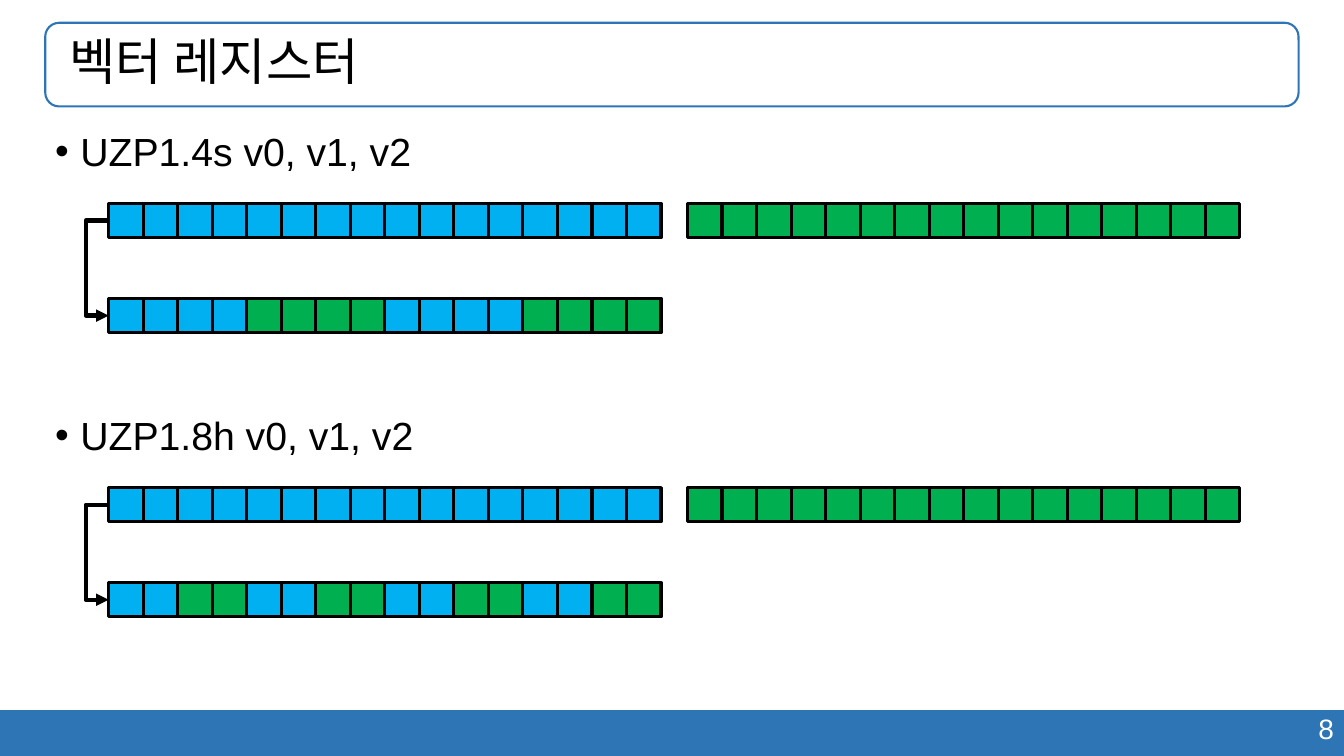
from lxml import etree
from pptx import Presentation
from pptx import util as u
from pptx.dml.color import RGBColor
from pptx.enum import shapes, text
from pptx.oxml.ns import qn

BLACK = RGBColor(0x00, 0x00, 0x00)
WHITE = RGBColor(0xFF, 0xFF, 0xFF)
NAVY = RGBColor(0x2E, 0x75, 0xB6)
BLUE = RGBColor(0x00, 0xB0, 0xF0)
GREEN = RGBColor(0x00, 0xB0, 0x50)

LANES = 16
FIRST_SOURCE = 3.15
SECOND_SOURCE = 19.92
FRAME = (1.31, 0.24, 36.31, 0.88)


class RegisterSlide:
    font = "Arial"
    column = u.Pt(24.65)
    row = u.Pt(67.9)
    cell_height = 0.36

    def __init__(self, presentation):
        self.slide = presentation.slides.add_slide(presentation.slide_layouts[6])

    def place(self, left, top, width, height):
        return [round(length * unit) for length, unit in
                zip((left, top, width, height), (self.column, self.row) * 2)]

    def box(self, kind, area, fill=None, line=None, weight=1.5, parent=None):
        parent = parent or self.slide
        shape = parent.shapes.add_shape(kind, *self.place(*area))
        shape.shadow.inherit = False
        if fill is None:
            shape.fill.background()
        else:
            shape.fill.solid()
            shape.fill.fore_color.rgb = fill
        if line is None:
            shape.line.fill.background()
        else:
            shape.line.color.rgb = line
            shape.line.width = u.Pt(weight)
        return shape

    def label(self, words, area, size, color=BLACK, align=text.PP_ALIGN.LEFT,
              anchor=text.MSO_ANCHOR.TOP, spacing=0.9, inset=0.1, bullet=False):
        shape = self.slide.shapes.add_textbox(*self.place(*area))
        frame = shape.text_frame
        frame.word_wrap = True
        frame.vertical_anchor = anchor
        frame.margin_left = u.Inches(inset)
        frame.text = words
        paragraph = frame.paragraphs[0]
        if bullet:
            properties = paragraph._p.get_or_add_pPr()
            properties.set("marL", str(u.Inches(0.25)))
            properties.set("indent", str(u.Inches(-0.25)))
            etree.SubElement(properties, qn("a:buFont"), typeface=self.font)
            etree.SubElement(properties, qn("a:buChar"), char="•")
        paragraph.alignment = align
        paragraph.line_spacing = spacing
        font = paragraph.runs[0].font
        font.name, font.size = self.font, u.Pt(size)
        font.color.rgb = color

    def register(self, left, top, colors):
        group = self.slide.shapes.add_group_shape()
        for lane, color in enumerate(colors):
            self.box(shapes.MSO_SHAPE.RECTANGLE, (left + lane, top, 1, self.cell_height),
                     color, BLACK, 2.25, group)

    def arrow(self, left, top, rows, reach=0.7, step=0.03):
        start_x, start_y, step_x, drop = self.place(left + step, top, step, rows)
        connector = self.slide.shapes.add_connector(
            shapes.MSO_CONNECTOR.ELBOW, start_x, start_y, start_x - step_x, start_y + drop)
        connector.line.color.rgb = BLACK
        connector.line.width = u.Pt(3)
        properties = connector._element.spPr
        guides = properties.find(qn("a:prstGeom")).get_or_add_avLst()
        bend = round(reach / step * 100000)
        etree.SubElement(guides, qn("a:gd"), name="adj1", fmla=f"val {bend}")
        etree.SubElement(connector.line._get_or_add_ln(), qn("a:tailEnd"), type="triangle")
        etree.SubElement(properties, qn("a:effectLst"))

    def instruction(self, words, top, run):
        source = top + 0.8
        result = source + 1
        self.label(words, (FRAME[0], top, FRAME[2], 0.6), 28, bullet=True)
        self.register(FIRST_SOURCE, source, [BLUE] * LANES)
        self.register(SECOND_SOURCE, source, [GREEN] * LANES)
        self.register(FIRST_SOURCE, result,
                      [(BLUE, GREEN)[lane // run % 2] for lane in range(LANES)])
        self.arrow(FIRST_SOURCE, source + self.cell_height / 2, 1)


def main():
    presentation = Presentation()
    presentation.slide_width = u.Inches(13.33)
    presentation.slide_height = u.Inches(7.5)
    page = RegisterSlide(presentation)
    page.box(shapes.MSO_SHAPE.RECTANGLE, (0, 7.47, 38.94, 0.49), NAVY)
    page.label("8", (27.54, 7.43, 11.39, 0.47), 20, WHITE, text.PP_ALIGN.RIGHT, spacing=1.0)
    page.box(shapes.MSO_SHAPE.ROUNDED_RECTANGLE, FRAME, line=NAVY)
    page.label("벡터 레지스터", FRAME, 36, anchor=text.MSO_ANCHOR.MIDDLE, inset=0.24)
    page.instruction("UZP1.4s v0, v1, v2", 1.34, 4)
    page.instruction("UZP1.8h v0, v1, v2", 4.33, 2)
    presentation.save("out.pptx")


if __name__ == "__main__":
    main()
